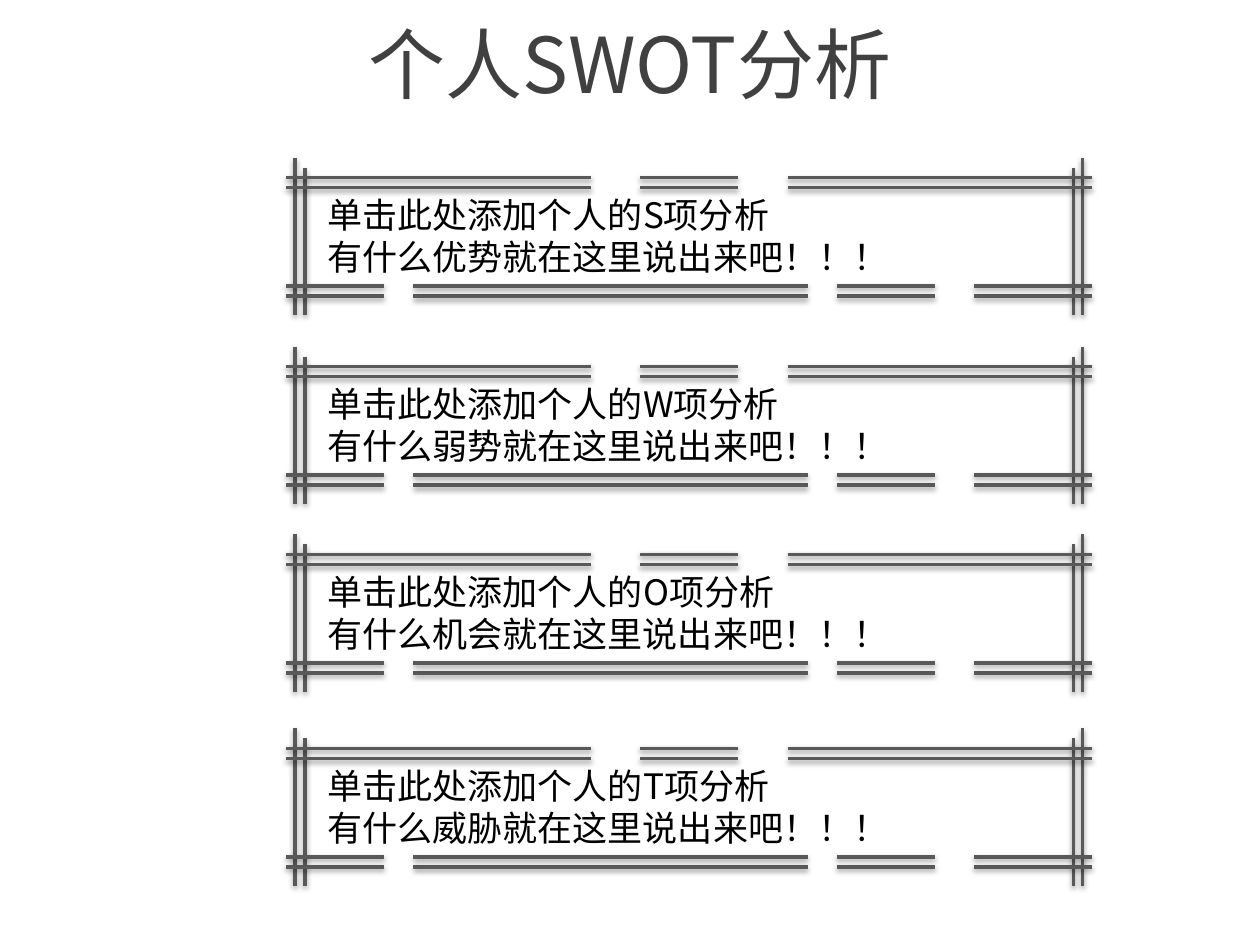
import pptx
import pptx.dml.color
import pptx.enum.shapes
import pptx.enum.text
import pptx.oxml
import pptx.oxml.ns
import pptx.util
from pptx.util import Inches

CJK = "Noto Sans CJK SC"
LATIN = "Noto Sans CJK JP"
INK, BODY, TITLE = "595959", "000000", "404040"

SHADOW = (
    f'<a:effectLst {pptx.oxml.ns.nsdecls("a")}>'
    '<a:outerShdw blurRad="39370" dist="20320" dir="5400000" rotWithShape="0">'
    '<a:srgbClr val="000000"><a:alpha val="38000"/></a:srgbClr>'
    '</a:outerShdw></a:effectLst>'
)


def rgb(value):
    return pptx.dml.color.RGBColor.from_string(value)


class SwotSlide:
    """Style and current slide, with one method for each kind of element."""

    line_width = pptx.util.Pt(2)

    def __init__(self, slide):
        self.slide = slide

    def text(self, left, top, width, height, paragraphs, size, color, align):
        """Each paragraph is a list of (wording, font name) runs."""
        box = self.slide.shapes.add_textbox(
            Inches(left), Inches(top), Inches(width), Inches(height))
        frame = box.text_frame
        frame.word_wrap = True
        frame.auto_size = pptx.enum.text.MSO_AUTO_SIZE.SHAPE_TO_FIT_TEXT
        for index, runs in enumerate(paragraphs):
            paragraph = frame.paragraphs[0] if index == 0 else frame.add_paragraph()
            paragraph.alignment = align
            for wording, font_name in runs:
                run = paragraph.add_run()
                run.text = wording
                formats = {"size": pptx.util.Pt(size), "name": font_name}
                for attribute, value in formats.items():
                    setattr(run.font, attribute, value)
                run.font.color.rgb = rgb(color)
                east_asian = pptx.oxml.parse_xml(
                    f'<a:ea {pptx.oxml.ns.nsdecls("a")} typeface="{font_name}"/>')
                run.font._element.append(east_asian)

    def strokes(self, segments):
        """Group of shadowed lines, each (x1, y1, x2, y2)."""
        group = self.slide.shapes.add_group_shape()
        for segment in segments:
            stroke = group.shapes.add_connector(
                pptx.enum.shapes.MSO_CONNECTOR.STRAIGHT,
                *(Inches(length) for length in segment))
            stroke.line.color.rgb = rgb(INK)
            stroke.line.width = self.line_width
            stroke._element.spPr.append(pptx.oxml.parse_xml(SHADOW))


# Fence geometry: posts are (inner x, outer x), rails are (start x, end x)
POSTS = [(2.42, 2.34), (8.52, 8.59)]
TOP_RAILS = [(2.27, 4.69), (6.25, 8.67), (5.08, 5.86)]
BOTTOM_RAILS = [(3.28, 6.41), (2.27, 3.05), (6.64, 7.42), (7.73, 8.67)]
FENCE_HEIGHT = 1.25
RAIL_GAP = 0.08

# Top of each fence, letter and what it stands for
SECTIONS = [
    (1.25, "S", "优势"),
    (2.75, "W", "弱势"),
    (4.24, "O", "机会"),
    (5.78, "T", "威胁"),
]


def draw_section(page, top, letter, topic):
    # Posts at both sides
    for inner, outer in POSTS:
        page.strokes([(inner, top + RAIL_GAP, inner, top + FENCE_HEIGHT),
                      (outer, top, outer, top + FENCE_HEIGHT)])
    # Broken double rails above and below
    for rails, offsets in ((TOP_RAILS, (0.16, 0.16 + RAIL_GAP)),
                           (BOTTOM_RAILS, (1.02 + RAIL_GAP, 1.02))):
        page.strokes([(start, top + offset, end, top + offset)
                      for offset in offsets for start, end in rails])
    # Wording inside the fence
    page.text(2.5, top + 0.24, 6.02, 0.77,
              [[(f"单击此处添加个人的{letter}项分析", CJK)],
               [(f"有什么{topic}就在这里说出来吧！！！", CJK)]],
              20, BODY, pptx.enum.text.PP_ALIGN.LEFT)


def main():
    deck = pptx.Presentation()
    deck.slide_width, deck.slide_height = Inches(10), Inches(7.5)
    page = SwotSlide(deck.slides.add_slide(deck.slide_layouts[6]))

    # Title
    page.text(0, 0.08, 10, 0.84,
              [[("个人", CJK), ("SWOT", LATIN), ("分析", CJK)]],
              44, TITLE, pptx.enum.text.PP_ALIGN.CENTER)

    # Four fenced sections
    for top, letter, topic in SECTIONS:
        draw_section(page, top, letter, topic)

    deck.save("out.pptx")


if __name__ == "__main__":
    main()
